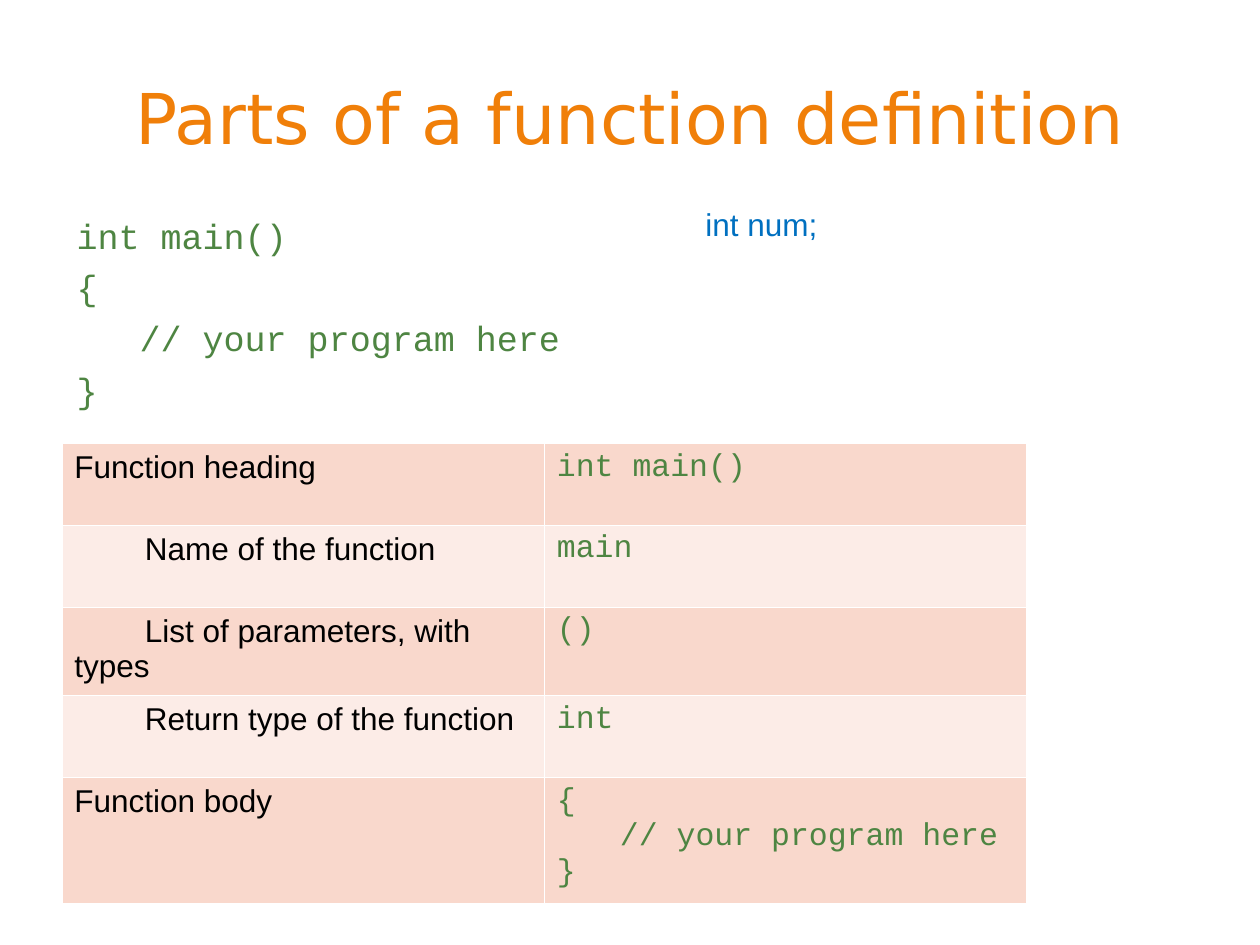
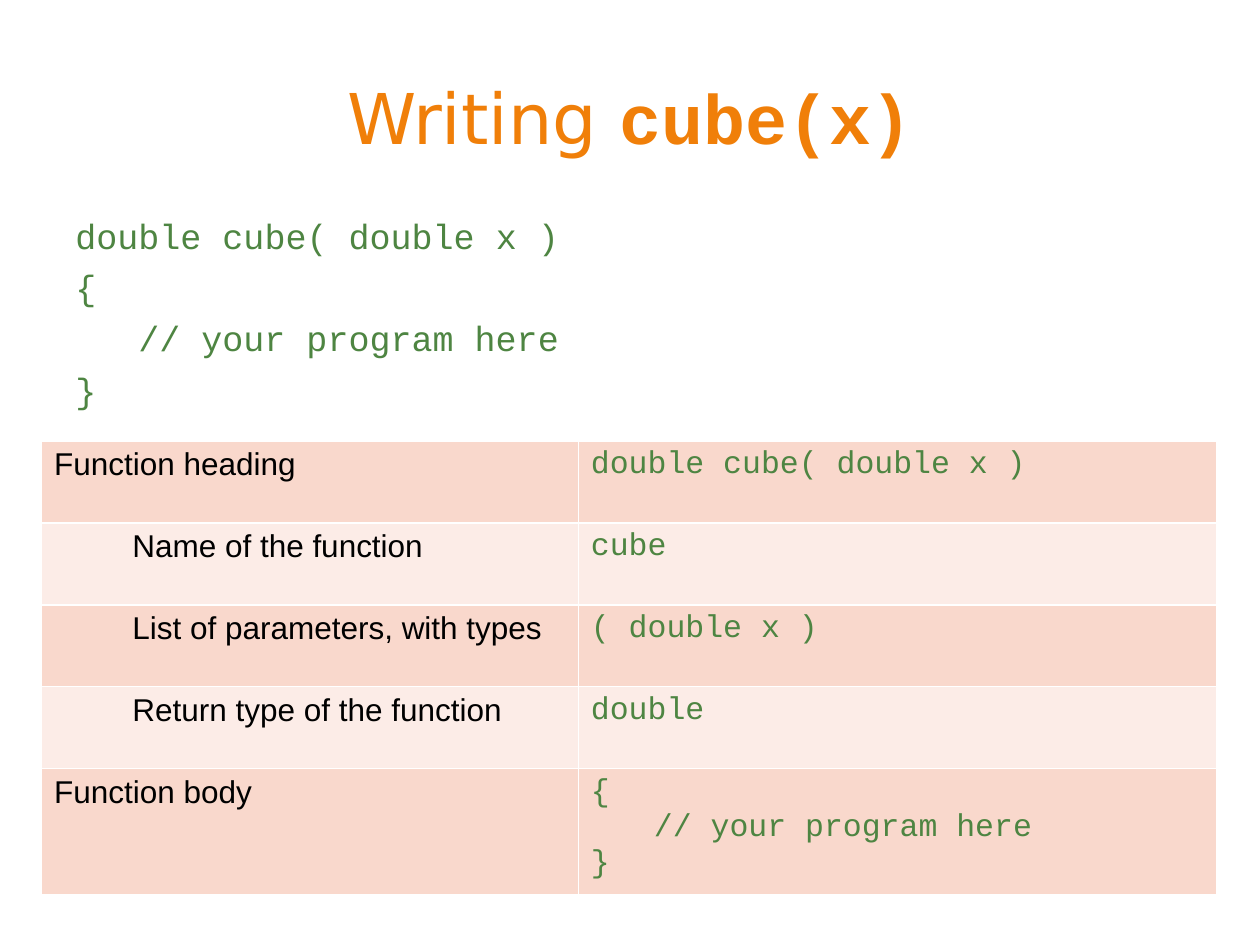
from dataclasses import dataclass

from pptx import Presentation
from pptx.dml.color import RGBColor
from pptx.enum.text import MSO_ANCHOR, PP_ALIGN
from pptx.oxml import parse_xml
from pptx.oxml.ns import nsdecls
from pptx.util import Inches, Pt


@dataclass(frozen=True)
class Theme:
    orange: str = "F07F09"
    green: str = "4E8542"
    blue: str = "0070C0"
    black: str = "000000"
    white: str = "FFFFFF"
    bands: tuple = ("F9D8CC", "FCECE7")
    head: str = "DejaVu Sans"
    sans: str = "Arial"
    mono: str = "Courier New"
    big: int = 40
    mid: int = 20
    small: int = 18


T = Theme()
UNIT = Inches(0.5)  # the slide is a grid of 20 columns by 15 rows
ROW, LAST = 1.3, 1.9
STEP = 1  # depth of a code line inside braces, in columns

TITLE = dict(name=T.head, size=Pt(T.big), color=T.orange)
CODE = dict(name=T.mono, size=Pt(T.mid), color=T.green)
LABEL = dict(name=T.sans, size=Pt(T.small), color=T.black)
VALUE = CODE | dict(size=Pt(T.small))
NOTE = LABEL | dict(color=T.blue)

BODY = ["{", "// your program here", "}"]
PARTS = ["Function heading", "Name of the function",
         "List of parameters, with types", "Return type of the function",
         "Function body"]

SLIDES = [
    dict(title=[("Parts of a function definition", {})],
         values=["int main()", "main", "()", "int"],
         code=1.02, left=0.98, top=7.04, cols=(7.66, 7.66), indent=1.12,
         note="int num;"),
    dict(title=[("Writing ", {}), ("cube(x)", dict(name=T.mono, bold=True))],
         values=["double cube( double x )", "cube", "( double x )", "double"],
         code=1, left=0.66, top=7, cols=(8.52, 10.14), indent=1.24,
         note=None),
]


def grid(*spans):
    """Turn columns and rows into slide lengths."""
    return [round(span * UNIT) for span in spans]


def write(frame, lines, style, gap=0, indent=0):
    """Write each line, a list of (text, format) runs, as a paragraph."""
    frame.word_wrap = True
    for n, line in enumerate(lines):
        para = frame.paragraphs[0] if n == 0 else frame.add_paragraph()
        if n and gap:
            para.space_before = Pt(gap)
        runs = [(line, {})] if isinstance(line, str) else line
        props = para._p.get_or_add_pPr()
        deep = STEP if runs[0][0].startswith("//") else 0
        for key, span in dict(marL=deep, indent=indent).items():
            props.set(key, str(*grid(span)))
        for text, extra in runs:
            run = para.add_run()
            run.text = text
            for key, value in (style | extra).items():
                if key == "color":
                    run.font.color.rgb = RGBColor.from_string(value)
                else:
                    setattr(run.font, key, value)


deck = Presentation()
deck.slide_width, deck.slide_height = grid(20, 15)

for item in SLIDES:
    slide = deck.slides.add_slide(deck.slide_layouts[6])
    shapes = slide.shapes

    title = shapes.add_textbox(*grid(1, 0.6, 18, 2.5)).text_frame
    title.vertical_anchor = MSO_ANCHOR.MIDDLE
    write(title, [item["title"]], TITLE)
    title.paragraphs[0].alignment = PP_ALIGN.CENTER

    code = shapes.add_textbox(*grid(item["code"], 3.16, 18, 10.24)).text_frame
    code.margin_top = Inches(0.12)
    write(code, [item["values"][0], *BODY], CODE, gap=5.3)

    size = sum(item["cols"]), 4 * ROW + LAST
    table = shapes.add_table(
        len(PARTS), 2, *grid(item["left"], item["top"], *size)).table
    table.first_row = table.horz_banding = False
    for col, span in zip(table.columns, item["cols"]):
        col.width, = grid(span)

    values = [[value] for value in item["values"]] + [BODY]
    for r, (part, value) in enumerate(zip(PARTS, values)):
        last = r == len(PARTS) - 1
        table.rows[r].height, = grid(LAST if last else ROW)
        inner = 0 if r == 0 or last else item["indent"]
        left, right = table.rows[r].cells
        write(left.text_frame, [part], LABEL, indent=inner)
        write(right.text_frame, value, VALUE)
        for cell in (left, right):
            props = cell._tc.get_or_add_tcPr()
            for side in "LRTB":
                props.append(parse_xml(
                    f'<a:ln{side} {nsdecls("a")} w="{Pt(1)}"><a:solidFill>'
                    f'<a:srgbClr val="{T.white}"/></a:solidFill></a:ln{side}>'))
            cell.fill.solid()
            cell.fill.fore_color.rgb = RGBColor.from_string(T.bands[r % 2])

    if item["note"]:
        note = shapes.add_textbox(*grid(11, 3.16, 2.66, 0.8)).text_frame
        write(note, [item["note"]], NOTE)

deck.save("out.pptx")
